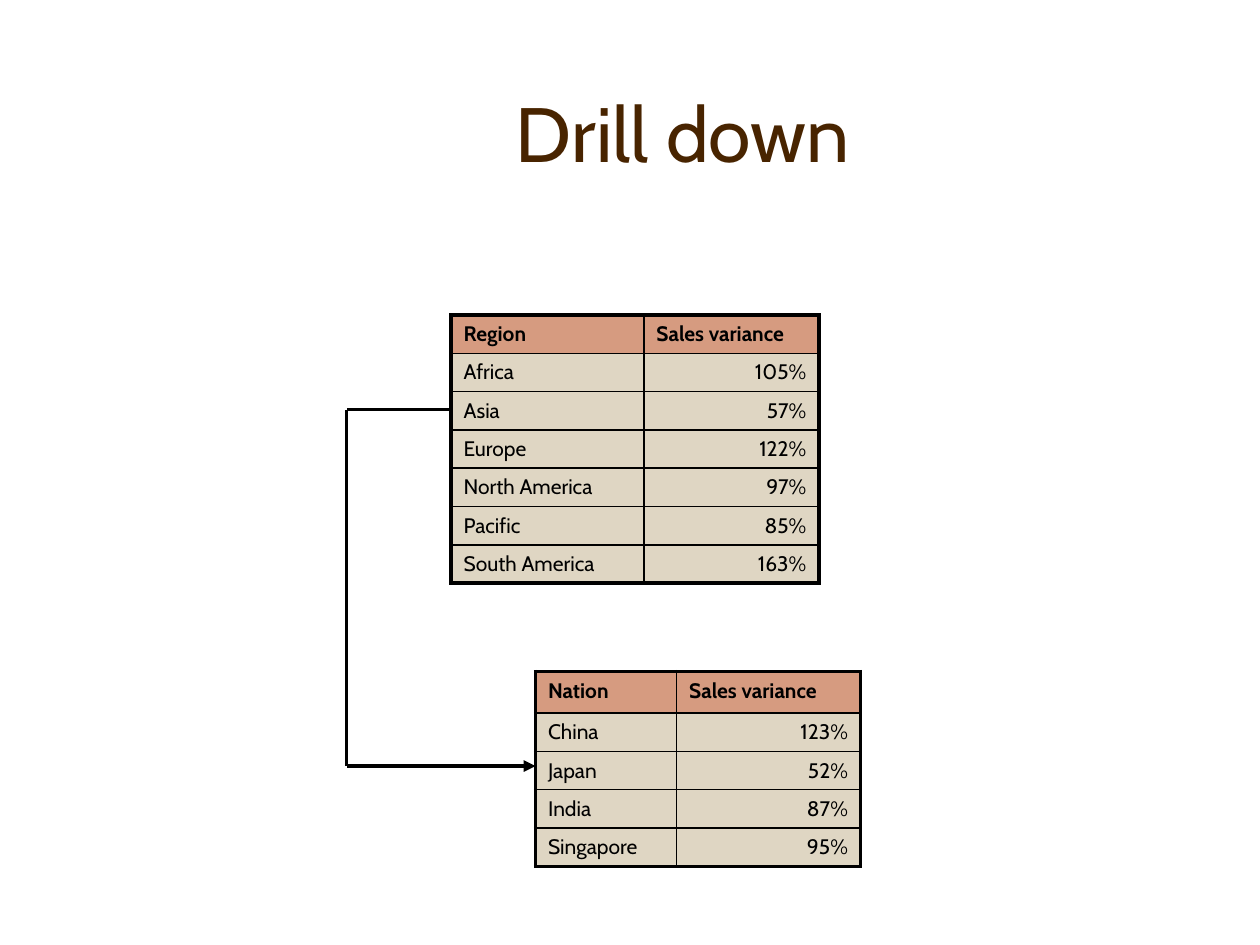
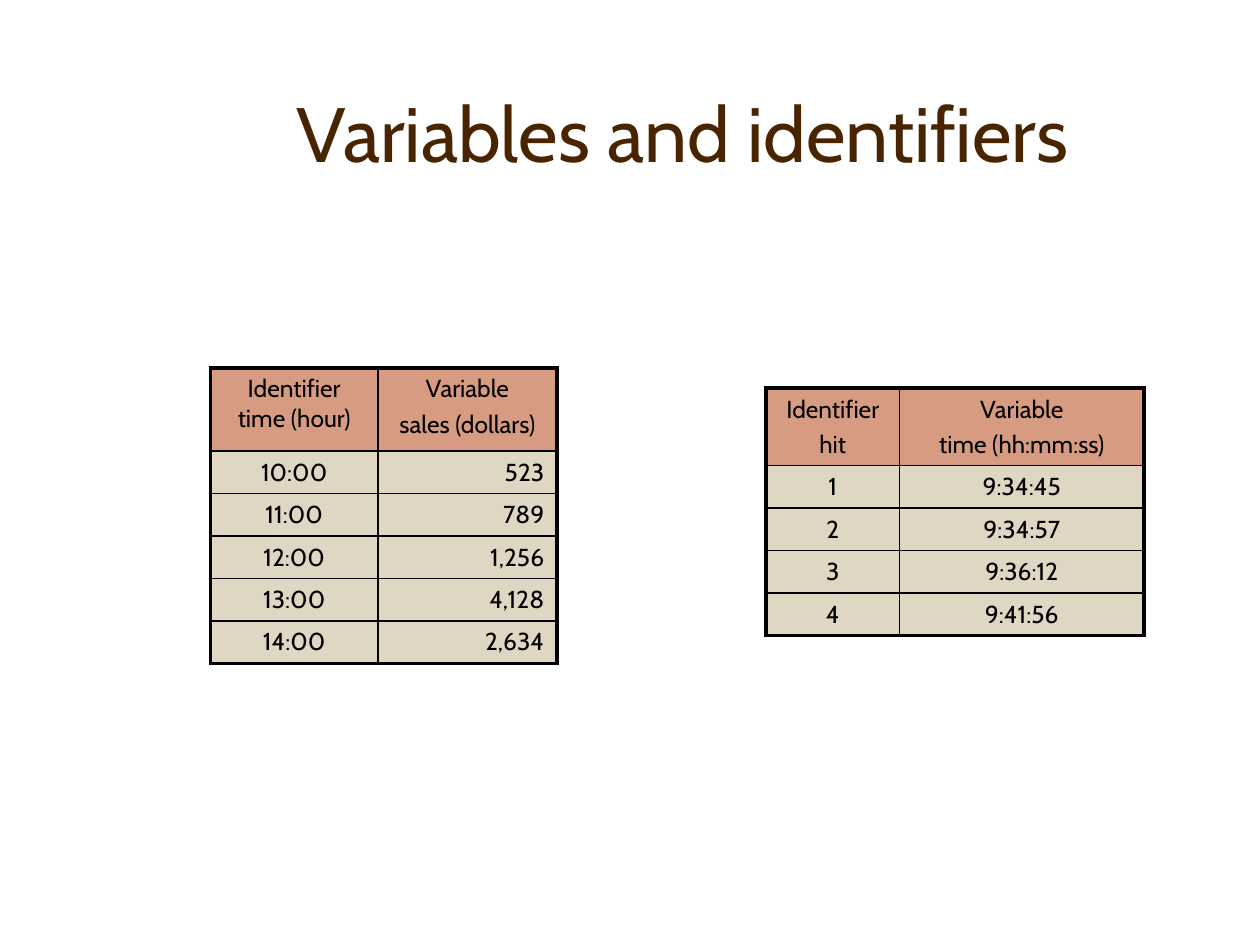
from dataclasses import dataclass
from lxml.etree import SubElement
from pptx import Presentation
from pptx.dml.color import RGBColor
from pptx.enum.shapes import MSO_CONNECTOR
from pptx.enum.text import MSO_ANCHOR, MSO_AUTO_SIZE, PP_ALIGN
from pptx.oxml import parse_xml
from pptx.oxml.ns import nsdecls, qn
from pptx.util import Inches, Pt

LEFT, MID, RIGHT = PP_ALIGN.LEFT, PP_ALIGN.CENTER, PP_ALIGN.RIGHT


@dataclass(frozen=True)
class Theme:
    font: str = "Cabin"
    title: str = "482400"
    ink: str = "000000"
    head: str = "D69B80"
    body: str = "DFD6C3"
    big: float = 44
    small: float = 12
    mid: float = 14
    thick: float = 2.25
    thin: float = 1


class Deck:
    def __init__(self, theme):
        self.theme = theme
        self.prs = Presentation()
        self.prs.slide_width = Inches(10)
        self.prs.slide_height = Inches(7.5)
        self.slide = None

    def page(self, title):
        self.slide = self.prs.slides.add_slide(self.prs.slide_layouts[5])
        box = self.slide.shapes.title
        box.left, box.top = Inches(1.17), Inches(0.42)
        box.width, box.height = Inches(8.5), Inches(1.25)
        frame = box.text_frame
        frame.auto_size = MSO_AUTO_SIZE.NONE
        frame.vertical_anchor = MSO_ANCHOR.MIDDLE
        self.text(frame, title, self.theme.big, self.theme.title, MID)

    def text(self, frame, words, size, color, align, bold=False, gap=0):
        for i, line in enumerate(words.split("\n")):
            para = frame.add_paragraph() if i else frame.paragraphs[0]
            para.alignment = align
            para.space_before = Pt(gap)
            run = para.add_run()
            run.text = line
            run.font.name = self.theme.font
            run.font.size = Pt(size)
            run.font.bold = bold
            run.font.color.rgb = RGBColor.from_string(color)

    def line(self, start, end, arrow=False):
        ends = [Inches(n) for n in (*start, *end)]
        line = self.slide.shapes.add_connector(MSO_CONNECTOR.STRAIGHT, *ends)
        line.line.color.rgb = RGBColor.from_string(self.theme.ink)
        line.line.width = Pt(self.theme.thick)
        props = line._element.spPr
        if arrow:
            SubElement(props.find(qn("a:ln")), qn("a:tailEnd"), type="triangle")
        SubElement(props, qn("a:effectLst"))

    def edge(self, cell, outer):
        props = cell._tc.get_or_add_tcPr()
        for i, (side, thick) in enumerate(zip("LRTB", outer)):
            width = Pt(self.theme.thick if thick else self.theme.thin)
            props.insert(i, parse_xml(
                f'<a:ln{side} {nsdecls("a")} w="{width}"><a:solidFill>'
                f'<a:srgbClr val="{self.theme.ink}"/></a:solidFill></a:ln{side}>'))

    def table(self, spot, cols, top, step, rows, size, aligns, head_align,
              bold=False, gap=3):
        heights = [top] + [step] * (len(rows) - 1)
        area = [Inches(n) for n in (*spot, sum(cols), sum(heights))]
        grid = self.slide.shapes.add_table(len(rows), len(cols), *area).table
        grid.horz_banding = False
        for col, width in zip(grid.columns, cols):
            col.width = Inches(width)
        for r, (row, height) in enumerate(zip(rows, heights)):
            grid.rows[r].height = Inches(height)
            for c, words in enumerate(row):
                cell = grid.cell(r, c)
                head = r == 0
                cell.fill.solid()
                cell.fill.fore_color.rgb = RGBColor.from_string(
                    self.theme.head if head else self.theme.body)
                self.text(cell.text_frame, words, size, self.theme.ink,
                          head_align if head else aligns[c], bold and head, gap)
                self.edge(cell, (c == 0, c == len(cols) - 1,
                                 head, r == len(rows) - 1))


def drill(deck):
    deck.page("Drill down")
    bend, asia, japan = 2.75, 3.25, 6.08
    deck.line((3.58, asia), (bend, asia))
    deck.line((bend, japan), (4.25, japan), arrow=True)
    deck.line((bend, asia), (bend, japan))
    style = dict(size=deck.theme.small, aligns=(LEFT, RIGHT),
                 head_align=LEFT, bold=True, gap=2.4)
    areas = [("Region", "Sales variance"), ("Africa", "105%"), ("Asia", "57%"),
             ("Europe", "122%"), ("North America", "97%"), ("Pacific", "85%"),
             ("South America", "163%")]
    deck.table((3.58, 2.5), (1.53, 1.39), 0.3, 0.3, areas, **style)
    lands = [("Nation", "Sales variance"), ("China", "123%"), ("Japan", "52%"),
             ("India", "87%"), ("Singapore", "95%")]
    deck.table((4.25, 5.33), (1.12, 1.46), 0.33, 0.3, lands, **style)


def keys(deck):
    deck.page("Variables and identifiers")
    style = dict(size=deck.theme.mid, head_align=MID)
    sales = [("Identifier time (hour)", "Variable\nsales (dollars)"),
             ("10:00", "523"), ("11:00", "789"), ("12:00", "1,256"),
             ("13:00", "4,128"), ("14:00", "2,634")]
    deck.table((1.67, 2.92), (1.33, 1.42), 0.66, 0.33, sales,
               aligns=(MID, RIGHT), **style)
    hits = [("Identifier\nhit", "Variable\ntime (hh:mm:ss)"), ("1", "9:34:45"),
            ("2", "9:34:57"), ("3", "9:36:12"), ("4", "9:41:56")]
    deck.table((6.08, 3.08), (1.06, 1.94), 0.61, 0.33, hits,
               aligns=(MID, MID), **style)


def main():
    deck = Deck(Theme())
    drill(deck)
    keys(deck)
    deck.prs.save("out.pptx")


if __name__ == "__main__":
    main()
